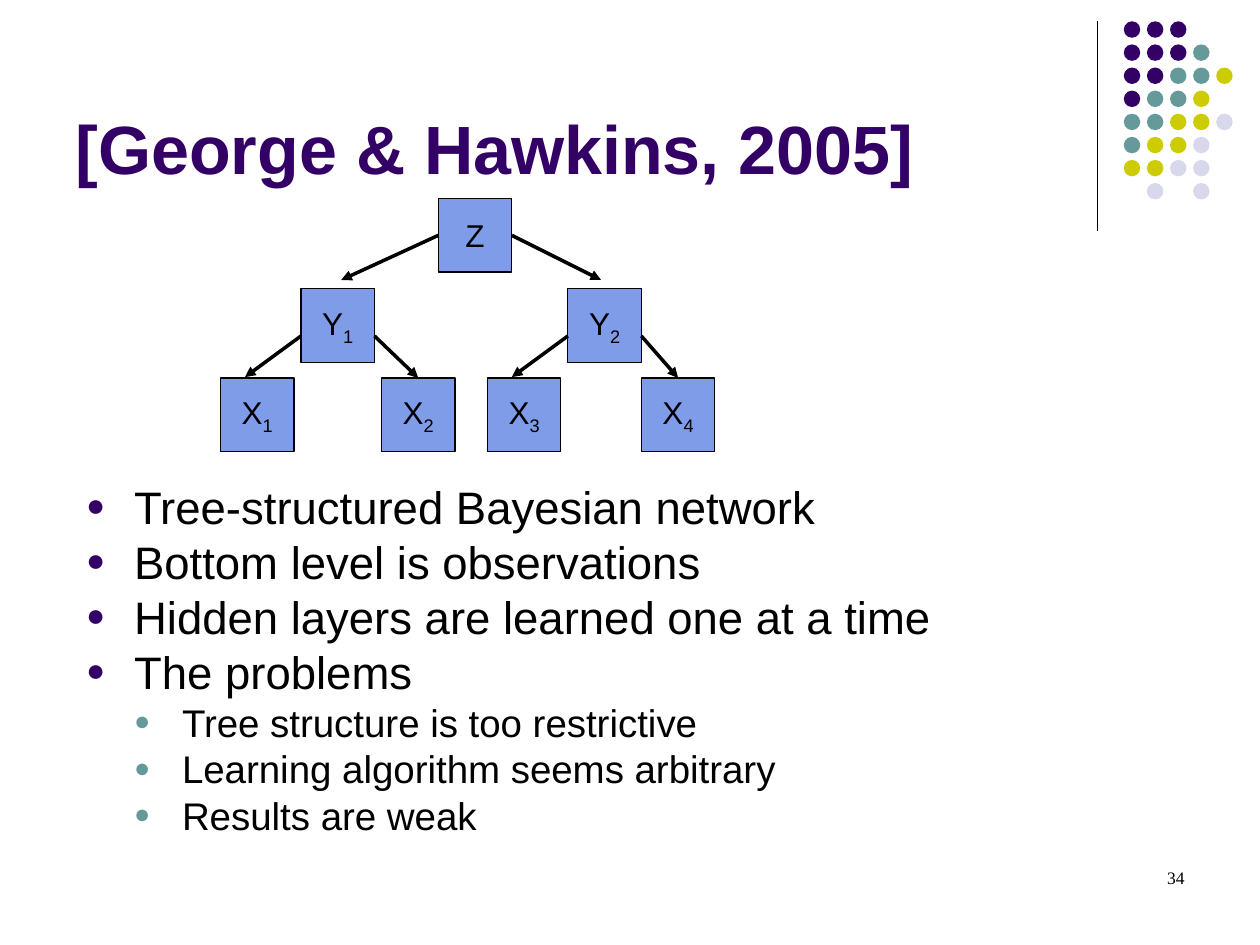
"""Build the slide on the tree-structured Bayesian network of George & Hawkins."""
from lxml.etree import SubElement
from pptx import Presentation
from pptx.dml.color import RGBColor
from pptx.enum.shapes import MSO_CONNECTOR as CONN, MSO_SHAPE as SHAPE
from pptx.enum.text import MSO_ANCHOR as ANCHOR, MSO_AUTO_SIZE as AUTO, PP_ALIGN as ALIGN
from pptx.oxml.ns import qn
from pptx.util import Pt

BLACK = RGBColor(0x00, 0x00, 0x00)
PURPLE = RGBColor(0x33, 0x00, 0x66)
TEAL = RGBColor(0x66, 0x99, 0x99)
OLIVE = RGBColor(0xCC, 0xCC, 0x00)
LAVENDER = RGBColor(0xD8, 0xD8, 0xEC)
BLUE = RGBColor(0x7E, 0x9C, 0xE8)


def add_line(shapes, x1, y1, x2, y2, width, arrow=False):
    c = shapes.add_connector(CONN.STRAIGHT, Pt(x1), Pt(y1), Pt(x2), Pt(y2))
    c.line.color.rgb = BLACK
    c.line.width = Pt(width)
    if arrow:
        SubElement(c.line._get_or_add_ln(), qn("a:tailEnd"), type="triangle")
    SubElement(c._element.spPr, qn("a:effectLst"))
    return c


def style_font(font, size, color, name="Arial"):
    font.size = Pt(size)
    font.name = name
    font.color.rgb = color


prs = Presentation()
prs.slide_width, prs.slide_height = Pt(720), Pt(540)
s = prs.slides.add_slide(prs.slide_layouts[1])
shapes = s.shapes

add_line(shapes, 627, 12, 627, 132, 0.75)
DOT_COLORS = {"P": PURPLE, "T": TEAL, "O": OLIVE, "L": LAVENDER}
DOT_ROWS = ["PPP", "PPPT", "PPTTO", "PTTO", "TTOOL", "TOOL", "OOLL", " L L"]
for row, codes in enumerate(DOT_ROWS):
    for col, code in enumerate(codes):
        if code in DOT_COLORS:
            sp = shapes.add_shape(SHAPE.OVAL, Pt(642.2 + 13.2 * col), Pt(12.2 + 13.2 * row),
                                  Pt(9.4), Pt(9.4))
            sp.shadow.inherit = False
            sp.fill.solid()
            sp.fill.fore_color.rgb = DOT_COLORS[code]
            sp.line.fill.background()

title = shapes.title
title.left, title.top, title.width, title.height = Pt(36), Pt(9.4), Pt(594), Pt(102)
tf = title.text_frame
tf.text = "[George & Hawkins, 2005]"
tf.auto_size = AUTO.NONE
tf.vertical_anchor = ANCHOR.BOTTOM
p = tf.paragraphs[0]
p.alignment = ALIGN.LEFT
style_font(p.runs[0].font, 39, PURPLE)
p.runs[0].font.bold = True

body = s.placeholders[1]
body.left, body.top, body.width, body.height = Pt(42), Pt(276), Pt(594), Pt(222)
tf = body.text_frame
tf.auto_size = AUTO.NONE
LEVELS = [(26, 6.5, PURPLE), (22, 5.5, TEAL)]
BULLETS = [
    (0, "Tree-structured Bayesian network"),
    (0, "Bottom level is observations"),
    (0, "Hidden layers are learned one at a time"),
    (0, "The problems"),
    (1, "Tree structure is too restrictive"),
    (1, "Learning algorithm seems arbitrary"),
    (1, "Results are weak"),
]
for i, (level, text) in enumerate(BULLETS):
    size, before, color = LEVELS[level]
    p = tf.add_paragraph() if i else tf.paragraphs[0]
    p.text = text
    p.level = level
    pPr = p._p.get_or_add_pPr()
    pPr.set("marL", str(Pt(27.4 * (level + 1))))
    pPr.set("indent", str(-Pt(27.4)))
    SubElement(SubElement(pPr, qn("a:buClr")), qn("a:srgbClr"), val=str(color))
    SubElement(pPr, qn("a:buSzPct"), val="70000")
    SubElement(pPr, qn("a:buFont"), typeface="Arial")
    SubElement(pPr, qn("a:buChar"), char="●")
    p.line_spacing = 0.8
    p.space_before = Pt(before if i else 0)
    style_font(p.runs[0].font, size, BLACK)

NODE = 42
NODES = [("X1", 126, 216), ("X2", 218, 216), ("X3", 278.5, 216), ("X4", 366.5, 216),
         ("Y1", 172, 165), ("Y2", 324.5, 165), ("Z", 250.5, 113.5)]
boxes = {}
for name, x, y in NODES:
    sp = boxes[name] = shapes.add_shape(SHAPE.RECTANGLE, Pt(x), Pt(y), Pt(NODE), Pt(NODE))
    sp.shadow.inherit = False
    sp.fill.solid()
    sp.fill.fore_color.rgb = BLUE
    sp.line.color.rgb = BLACK
    sp.line.width = Pt(0.75)
    tf = sp.text_frame
    tf.word_wrap = False
    tf.vertical_anchor = ANCHOR.MIDDLE
    p = tf.paragraphs[0]
    p.alignment = ALIGN.CENTER
    for part in name:
        r = p.add_run()
        r.text = part
        style_font(r.font, 18, BLACK)
        if part.isdigit():
            r.font._element.set("baseline", "-25000")

for x, end in ((195, 1), (343.5, 3)):
    c = add_line(shapes, 250.5, 134.5, x, 160, 2, arrow=True)
    c.begin_connect(boxes["Z"], end)
for x, right_child in ((172, "X2"), (324.5, "X4")):
    add_line(shapes, x, 192, x - 32, 215.5, 2, arrow=True)
    c = add_line(shapes, x + NODE, 192, x + NODE + 23, 216, 2, arrow=True)
    c.end_connect(boxes[right_child], 0)

tb = shapes.add_textbox(Pt(516), Pt(492), Pt(168), Pt(36))
tf = tb.text_frame
tf.word_wrap = True
tf.text = "34"
p = tf.paragraphs[0]
p.alignment = ALIGN.RIGHT
style_font(p.runs[0].font, 10, BLACK, "Times New Roman")

prs.save("out.pptx")
